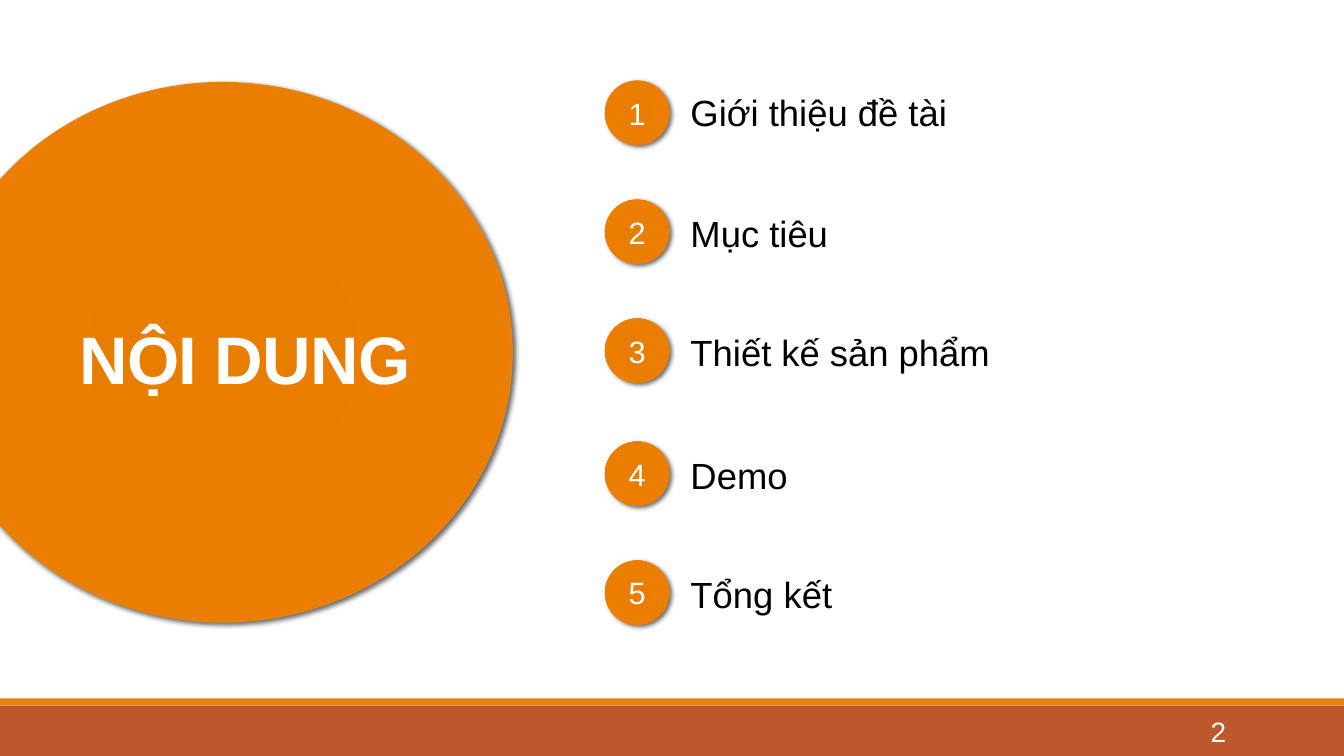
from lxml import etree
from pptx import Presentation
from pptx.dml.color import RGBColor
from pptx.enum import shapes, text
from pptx.oxml import ns
from pptx.util import Inches, Pt

COLORS = {"band": "BD582C", "accent": "E48312", "white": "FFFFFF", "black": "000000"}
GLOW = [(0, "E57B00"), (34, "E87D00"), (70, "EB7E00"), (100, "EF8407")]
FONT = "Arial"
OVAL, RECT = shapes.MSO_SHAPE.OVAL, shapes.MSO_SHAPE.RECTANGLE
MIDDLE, BOTTOM = text.MSO_ANCHOR.MIDDLE, text.MSO_ANCHOR.BOTTOM
BADGE = 0.64
# Topic, top of its row, drop of the label below that top, label width
TOPICS = [
    ("Giới thiệu đề tài", 0, 0.05, 3.52),
    ("Mục tiêu", 1.18, 0.07, 2.52),
    ("Thiết kế sản phẩm", 2.36, 0.07, 3.27),
    ("Demo", 3.58, 0.07, 2.52),
    ("Tổng kết", 4.76, 0.07, 2.52),
]


def color(name):
    return RGBColor.from_string(COLORS[name])


def add_child(parent, tag, **attributes):
    return etree.SubElement(parent, ns.qn(tag), {k: str(v) for k, v in attributes.items()})


def write(frame, words, size, ink, align=text.PP_ALIGN.LEFT, anchor=text.MSO_ANCHOR.TOP):
    frame.word_wrap = True
    frame.vertical_anchor = anchor
    paragraph = frame.paragraphs[0]
    paragraph.alignment = align
    run = paragraph.add_run()
    run.text = words
    run.font.name = FONT
    run.font.size = Pt(size)
    run.font.color.rgb = color(ink)
    return paragraph, run


def add_label(slide, box, words, size, ink, **layout):
    label = slide.shapes.add_textbox(*map(Inches, box))
    return write(label.text_frame, words, size, ink, **layout)


def add_disc(slide, box, blur):
    """Oval with a radial orange gradient and a soft shadow to the lower right."""
    disc = slide.shapes.add_shape(OVAL, *map(Inches, box))
    disc.line.fill.background()
    disc.shadow.inherit = False
    properties = disc.element.spPr

    gradient = etree.Element(ns.qn("a:gradFill"), rotWithShape="1")
    stops = add_child(gradient, "a:gsLst")
    for position, shade in GLOW:
        stop = add_child(stops, "a:gs", pos=position * 1000)
        add_child(stop, "a:srgbClr", val=shade)
    radial = add_child(gradient, "a:path", path="circle")
    add_child(radial, "a:fillToRect", l=100000, t=100000, r=100000, b=100000)
    properties.find(ns.qn("a:prstGeom")).addnext(gradient)

    shadow = add_child(properties.find(ns.qn("a:effectLst")), "a:outerShdw",
                       blurRad=Pt(blur), dist=Pt(2), dir=45 * 60000,
                       algn="tl", rotWithShape=0)
    tint = add_child(shadow, "a:srgbClr", val=COLORS["black"])
    add_child(tint, "a:alpha", val=60000)
    return disc


def add_footer(slide, left, top, width, height):
    stripe = 0.07
    for name, y, depth in (("band", top + stripe, height - stripe),
                           ("accent", top, stripe)):
        bar = slide.shapes.add_shape(RECT, *map(Inches, (left, y, width, depth)))
        bar.fill.solid()
        bar.fill.fore_color.rgb = color(name)
        bar.line.fill.background()
        bar.shadow.inherit = False
    add_label(slide, (left + 10.83, top + 0.13, 1.43, 0.4), "2", 20, "white",
              align=text.PP_ALIGN.RIGHT, anchor=MIDDLE)


def add_heading(slide, left, top, width, height):
    disc = add_disc(slide, (left, top, width, height), 3)
    disc.line.color.rgb = color("accent")
    disc.line.width = Pt(1)
    paragraph, run = add_label(slide, (left + 1.35, top + 2.01, 4.39, 1.17),
                               "NỘI DUNG", 48, "white", anchor=BOTTOM)
    paragraph.line_spacing = 0.85
    run.font.bold = True
    run.font.element.set("spc", "-50") if hasattr(run.font, "element") else \
        run.font._element.set("spc", "-50")


def add_agenda(slide, left, top):
    for number, (topic, row, drop, width) in enumerate(TOPICS, 1):
        badge = add_disc(slide, (left, top + row, BADGE, BADGE), 3.5)
        write(badge.text_frame, str(number), 22, "white",
              align=text.PP_ALIGN.CENTER, anchor=MIDDLE)
        add_label(slide, (left + 0.75, top + row + drop, width, 0.54), topic, 26, "black")


def main():
    deck = Presentation()
    deck.slide_width, deck.slide_height = Inches(13.33), Inches(7.5)
    slide = deck.slides.add_slide(deck.slide_layouts[6])
    add_footer(slide, 0, 6.93, 13.33, 0.57)
    add_heading(slide, -0.66, 0.82, 5.74, 5.35)
    add_agenda(slide, 6, 0.8)
    deck.save("out.pptx")


if __name__ == "__main__":
    main()
